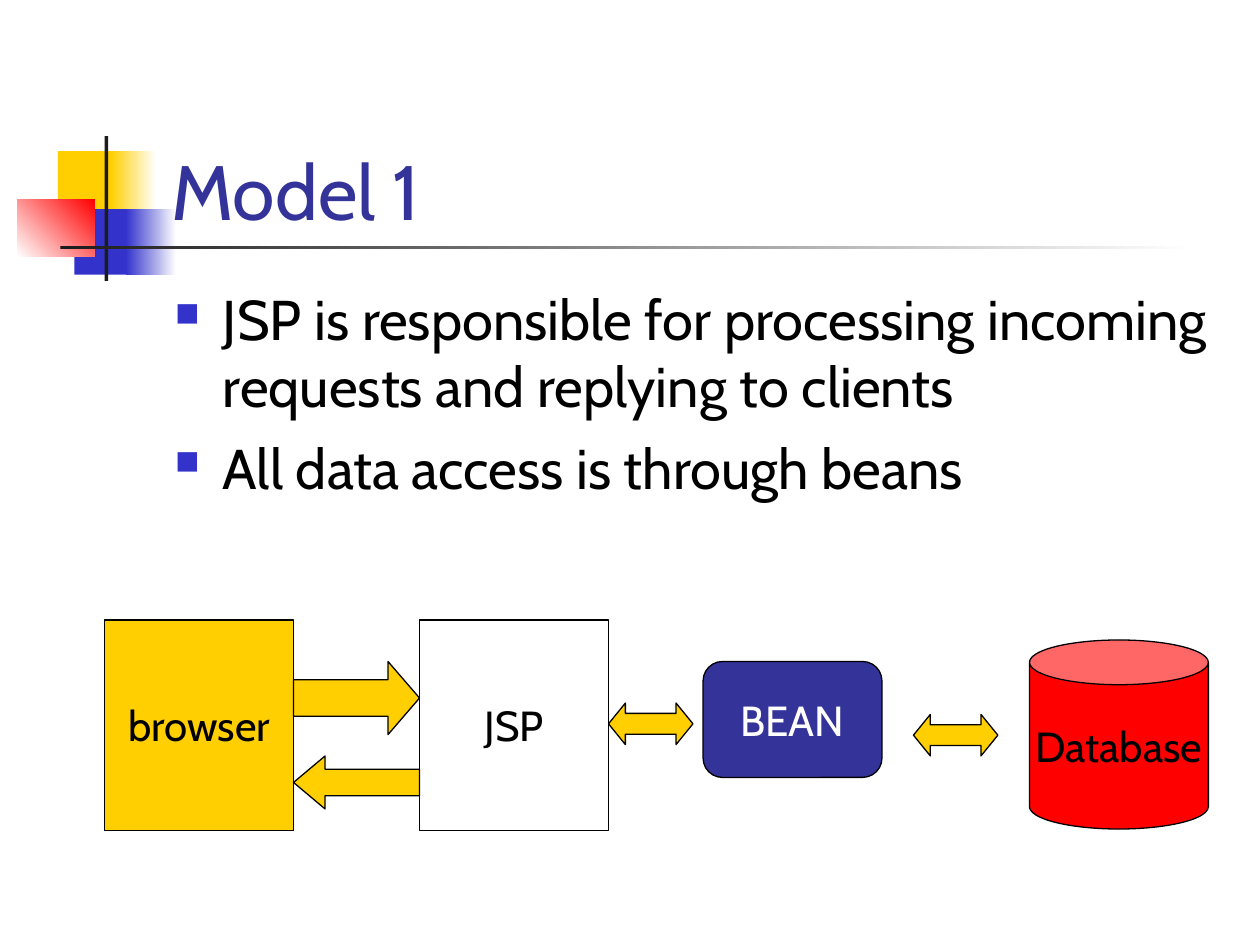
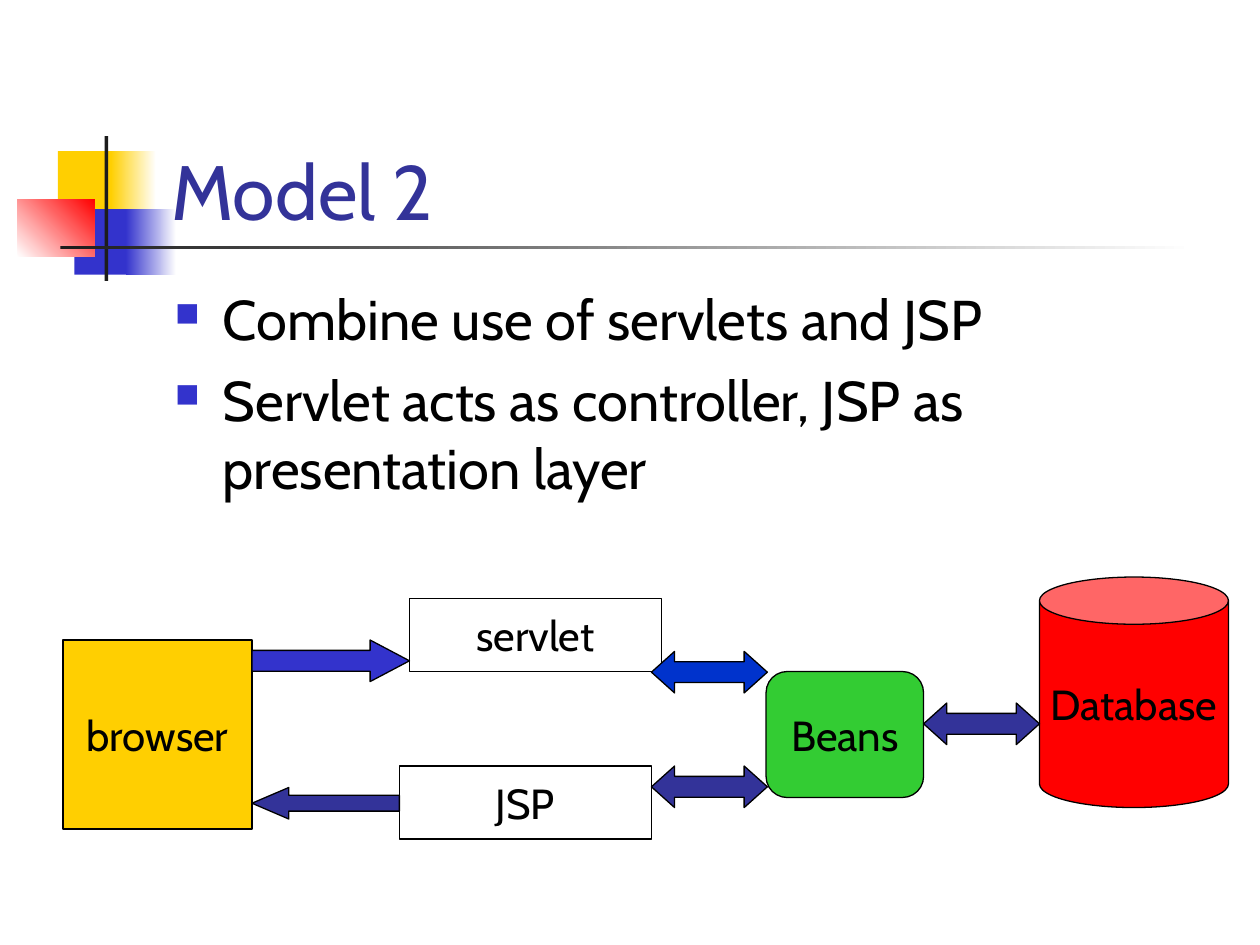
import pptx
import pptx.util
import pptx.dml.color
import pptx.enum.shapes
import pptx.enum.text
import pptx.oxml
import pptx.oxml.ns
from lxml import etree

Inches = pptx.util.Inches
Pt = pptx.util.Pt
Kind = pptx.enum.shapes.MSO_SHAPE
Anchor = pptx.enum.text.MSO_ANCHOR
Align = pptx.enum.text.PP_ALIGN
qn = pptx.oxml.ns.qn

FONT = "Cabin"
COLORS = {
    "gold": "FFCF01", "blue": "3333CC", "navy": "333399", "royal": "0033CC",
    "red": "FF0000", "green": "33CC33", "dark": "1C1C1C",
    "white": "FFFFFF", "black": "000000",
}

# Boxes: label, kind, fill, text colour, (left, top, width, height)
# Arrows: kind, fill, (left, top, width, height)
SLIDES = [
    {
        "title": "Model 1",
        "points": [
            "JSP is responsible for processing incoming requests and replying to clients",
            "All data access is through beans",
        ],
        "boxes": [
            ("browser", Kind.RECTANGLE, "gold", "black", (0.83, 4.92, 1.5, 1.67)),
            ("JSP", Kind.RECTANGLE, "white", "black", (3.33, 4.92, 1.5, 1.67)),
            ("BEAN", Kind.ROUNDED_RECTANGLE, "navy", "white", (5.58, 5.25, 1.42, 0.92)),
            ("Database", Kind.CAN, "red", "black", (8.17, 5.08, 1.42, 1.5)),
        ],
        "arrows": [
            (Kind.RIGHT_ARROW, "gold", (2.33, 5.25, 1, 0.58)),
            (Kind.LEFT_RIGHT_ARROW, "gold", (4.83, 5.58, 0.67, 0.33)),
            (Kind.LEFT_ARROW, "gold", (2.33, 6, 1, 0.42)),
            (Kind.LEFT_RIGHT_ARROW, "gold", (7.25, 5.67, 0.67, 0.33)),
        ],
    },
    {
        "title": "Model 2",
        "points": [
            "Combine use of servlets and JSP",
            "Servlet acts as controller, JSP as presentation layer",
        ],
        "boxes": [
            ("browser", Kind.RECTANGLE, "gold", "black", (0.5, 5.08, 1.5, 1.5)),
            ("servlet", Kind.RECTANGLE, "white", "black", (3.25, 4.75, 2, 0.58)),
            ("JSP", Kind.RECTANGLE, "white", "black", (3.17, 6.08, 2, 0.58)),
            ("Beans", Kind.ROUNDED_RECTANGLE, "green", "black", (6.08, 5.33, 1.25, 1)),
            ("Database", Kind.CAN, "red", "black", (8.25, 4.58, 1.5, 1.83)),
        ],
        "arrows": [
            (Kind.LEFT_ARROW, "navy", (2, 6.25, 1.17, 0.25)),
            (Kind.RIGHT_ARROW, "blue", (2, 5.08, 1.25, 0.33)),
            (Kind.LEFT_RIGHT_ARROW, "navy", (5.17, 6.08, 0.92, 0.33)),
            (Kind.LEFT_RIGHT_ARROW, "royal", (5.17, 5.17, 0.92, 0.33)),
            (Kind.LEFT_RIGHT_ARROW, "navy", (7.33, 5.58, 0.92, 0.33)),
        ],
    },
]

# Fill is one colour, or (from, to, angle) for a gradient
EMBLEM = [
    ("gold", (0.46, 1.2, 0.48, 0.52)),
    (("gold", "white", 0), (0.88, 1.2, 0.36, 0.52)),
    ("blue", (0.59, 1.66, 0.46, 0.52)),
    (("blue", "white", 0), (1, 1.66, 0.4, 0.52)),
    (("white", "red", 45), (0.14, 1.58, 0.61, 0.46)),
    ("dark", (0.83, 1.08, 0.03, 1.15)),
    (("dark", "white", 0), (0.48, 1.95, 9, 0.03)),
]
TITLE_AT = (1.26, 0.67, 8.52, 1.25)
BODY_AT = (1.29, 2.21, 8.5, 4.5)
ADJUST = {Kind.ROUNDED_RECTANGLE: 0.167, Kind.CAN: 0.25}


def color(name):
    return pptx.dml.color.RGBColor.from_string(COLORS[name])


def place(at):
    return [Inches(v) for v in at]


def style(para, size, name):
    para.font.name = FONT
    para.font.size = Pt(size)
    para.font.color.rgb = color(name)


def draw(slide, kind, fill, at, line=None):
    """Add a flat shape with a plain or gradient fill."""
    shape = slide.shapes.add_shape(kind, *place(at))
    shape.shadow.inherit = False
    if isinstance(fill, tuple):
        *ends, angle = fill
        shape.fill.gradient()
        shape.fill.gradient_angle = angle
        for stop, name in zip(shape.fill.gradient_stops, ends):
            stop.color.rgb = color(name)
    else:
        shape.fill.solid()
        shape.fill.fore_color.rgb = color(fill)
    if line:
        shape.line.color.rgb = color(line)
        shape.line.width = Pt(0.75)
    else:
        shape.line.fill.background()
    return shape


def add_title(slide, text):
    title = slide.shapes.title
    title.element.getparent().append(title.element)  # in front of the emblem
    title.left, title.top, title.width, title.height = place(TITLE_AT)
    frame = title.text_frame
    frame.text = text
    frame.auto_size = pptx.enum.text.MSO_AUTO_SIZE.NONE
    frame.vertical_anchor = Anchor.BOTTOM
    para = frame.paragraphs[0]
    para.alignment = Align.LEFT
    style(para, 44, "navy")


def add_bullet(para):
    props = para._p.get_or_add_pPr()
    props.set("marL", str(Inches(0.38)))
    props.set("indent", str(-Inches(0.38)))
    tint = etree.SubElement(props, qn("a:buClr"))
    etree.SubElement(tint, qn("a:srgbClr"), val=COLORS["blue"])
    etree.SubElement(props, qn("a:buSzPct"), val="60000")
    etree.SubElement(props, qn("a:buChar"), char="■")


def add_points(slide, points):
    frame = slide.shapes.add_textbox(*place(BODY_AT)).text_frame
    frame.word_wrap = True
    frame.text = "\n".join(points)
    for para in frame.paragraphs:
        para.space_before = Pt(8)
        add_bullet(para)
        style(para, 32, "black")


def add_box(slide, label, kind, fill, ink, at):
    box = draw(slide, kind, fill, at, "black")
    if kind in ADJUST:
        box.adjustments[0] = ADJUST[kind]
    frame = box.text_frame
    frame.text = label
    frame.word_wrap = False
    frame.vertical_anchor = Anchor.MIDDLE
    para = frame.paragraphs[0]
    para.alignment = Align.CENTER
    style(para, 24, ink)


def add_arrow(slide, kind, fill, at):
    """Each head takes a fifth of a double arrow, a quarter of a single one."""
    arrow = draw(slide, kind, fill, at, "black")
    share = 5 if kind == Kind.LEFT_RIGHT_ARROW else 4
    arrow.adjustments[0] = 0.5
    arrow.adjustments[1] = at[2] / share / at[3]


def main():
    deck = pptx.Presentation()
    deck.slide_width, deck.slide_height = Inches(10), Inches(7.5)
    layout = deck.slide_layouts.get_by_name("Title Only")
    for page in SLIDES:
        slide = deck.slides.add_slide(layout)
        for fill, at in EMBLEM:
            draw(slide, Kind.RECTANGLE, fill, at)
        add_title(slide, page["title"])
        add_points(slide, page["points"])
        for box in page["boxes"]:
            add_box(slide, *box)
        for arrow in page["arrows"]:
            add_arrow(slide, *arrow)
    deck.save("out.pptx")


if __name__ == "__main__":
    main()
